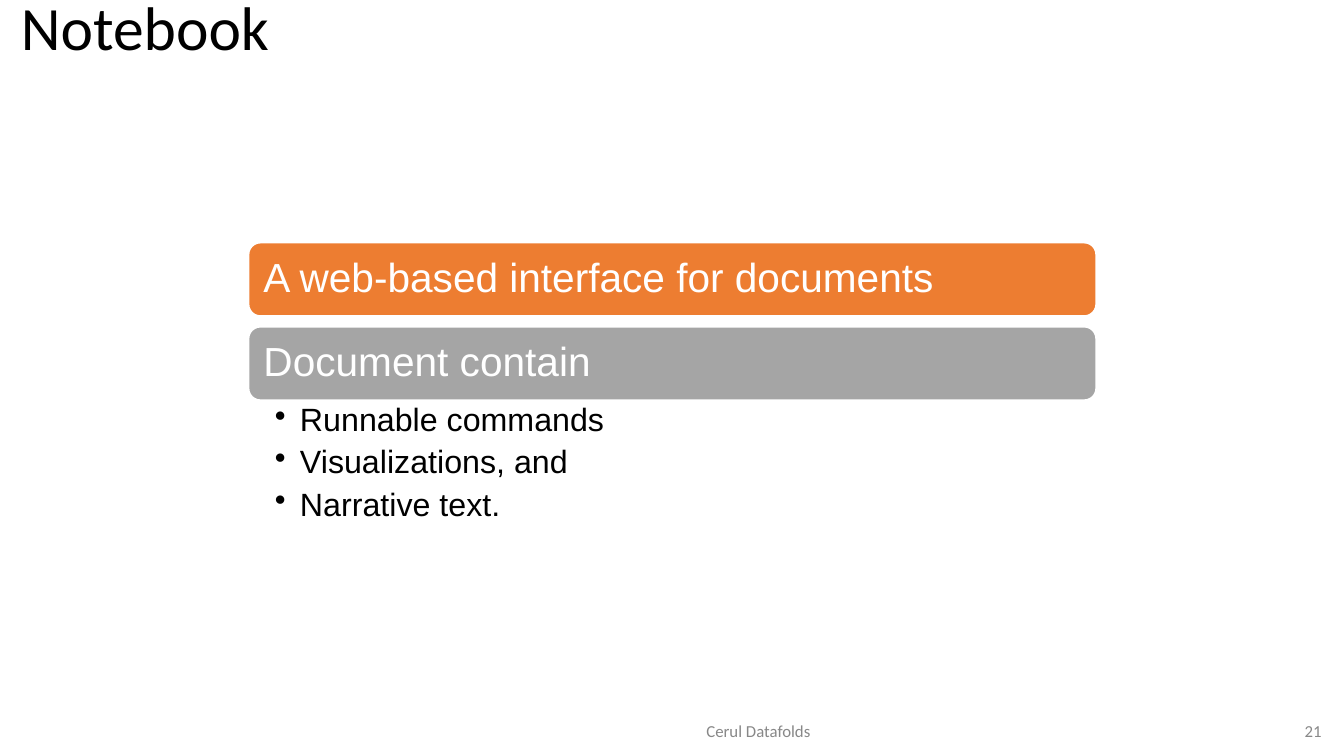
from lxml import etree
from pptx import Presentation
from pptx import util as u
from pptx.dml.color import RGBColor
from pptx.enum import shapes, text
from pptx.oxml import ns

LEFT, WIDTH = 6.25, 21.39
BAR_TOP, BAR_HEIGHT, BAR_PITCH = 6.1, 1.88, 2.12
BARS = [("A web-based interface for documents", "ED7D31"),
        ("Document contain", "A5A5A5")]
CONTENTS = ["Runnable commands", "Visualizations, and", "Narrative text."]


def rgb(value):
    """Return the colour for a hex string."""
    return RGBColor.from_string(value)


def write(sp, lines, size, font, color, align="LEFT", anchor="MIDDLE",
          insets=(0.25, 0.13, 0.25, 0.13), spacing=1.0):
    """Fill a shape with equally styled paragraphs and return them."""
    tf = sp.text_frame
    tf.word_wrap = True
    tf.auto_size = text.MSO_AUTO_SIZE.NONE
    tf.vertical_anchor = text.MSO_ANCHOR[anchor]
    (tf.margin_left, tf.margin_top,
     tf.margin_right, tf.margin_bottom) = map(u.Cm, insets)
    tf.text = "\n".join(lines)
    for p in tf.paragraphs:
        p.alignment = text.PP_ALIGN[align]
        p.line_spacing = spacing
        p.font.size = u.Pt(size)
        p.font.name = font
        p.font.color.rgb = rgb(color)
    return tf.paragraphs


def add_text(slide, box, lines, size, font, color, **style):
    """Add a text box and return its paragraphs."""
    sp = slide.shapes.add_textbox(*map(u.Cm, box))
    return write(sp, lines, size, font, color, **style)


def add_bar(slide, top, label, fill):
    """Add a rounded bar with a white label."""
    sp = slide.shapes.add_shape(shapes.MSO_SHAPE.ROUNDED_RECTANGLE,
                                *map(u.Cm, (LEFT, top, WIDTH, BAR_HEIGHT)))
    sp.shadow.inherit = False
    sp.fill.solid()
    sp.fill.fore_color.rgb = rgb(fill)
    sp.line.color.rgb = rgb("FFFFFF")
    sp.line.width = u.Pt(2)
    write(sp, [label], 29, "Arial", "FFFFFF", insets=(0.3,) * 4, spacing=0.9)


def add_bullets(slide, box, lines):
    """Add a bulleted list with a hanging indent."""
    for p in add_text(slide, box, lines, 23, "Arial", "000000", anchor="TOP",
                      insets=(0.68, 0.1, 0.58, 0.1), spacing=0.9):
        p.space_after = u.Pt(5.3)
        props = p._p.get_or_add_pPr()
        props.set("marL", str(u.Cm(0.63)))
        props.set("indent", str(-u.Cm(0.63)))
        bullet = etree.Element(ns.qn("a:buChar"), char="•")
        props.find(ns.qn("a:defRPr")).addprevious(bullet)


def main():
    """Build the notebook slide."""
    prs = Presentation()
    prs.slide_width, prs.slide_height = u.Cm(33.87), u.Cm(19.05)
    slide = prs.slides.add_slide(prs.slide_layouts[6])

    add_text(slide, (0.28, 0.08, 33.3, 1.4), ["Notebook"], 44, "Calibri",
             "000000", spacing=0.9)
    for i, (label, fill) in enumerate(BARS):
        add_bar(slide, BAR_TOP + i * BAR_PITCH, label, fill)
    add_bullets(slide, (LEFT, 10.08, WIDTH, 3.18), CONTENTS)
    add_text(slide, (7.7, 17.91, 22.83, 1.02), ["Cerul Datafolds"], 12,
             "Calibri", "888888", align="CENTER")
    add_text(slide, (31.78, 17.91, 1.78, 1.02), ["21"], 12,
             "Calibri", "888888", align="RIGHT")
    prs.save("out.pptx")


if __name__ == "__main__":
    main()
